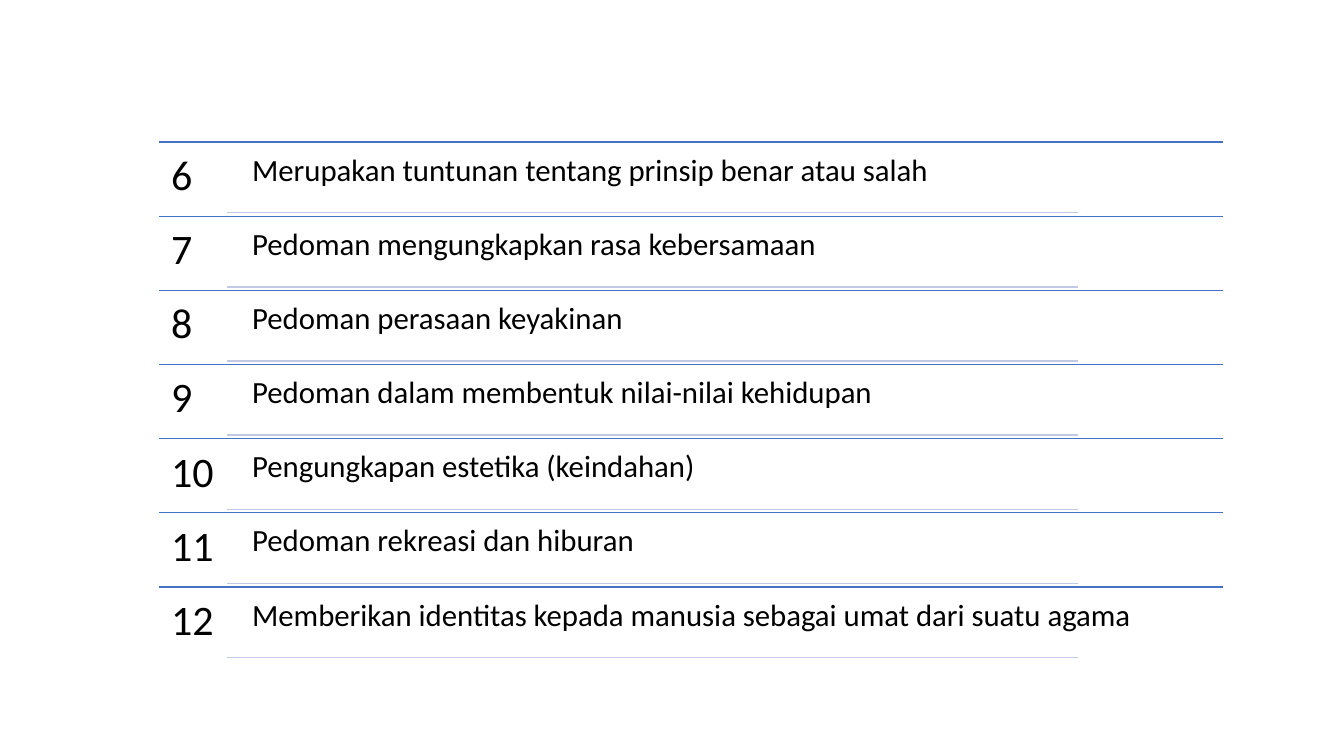
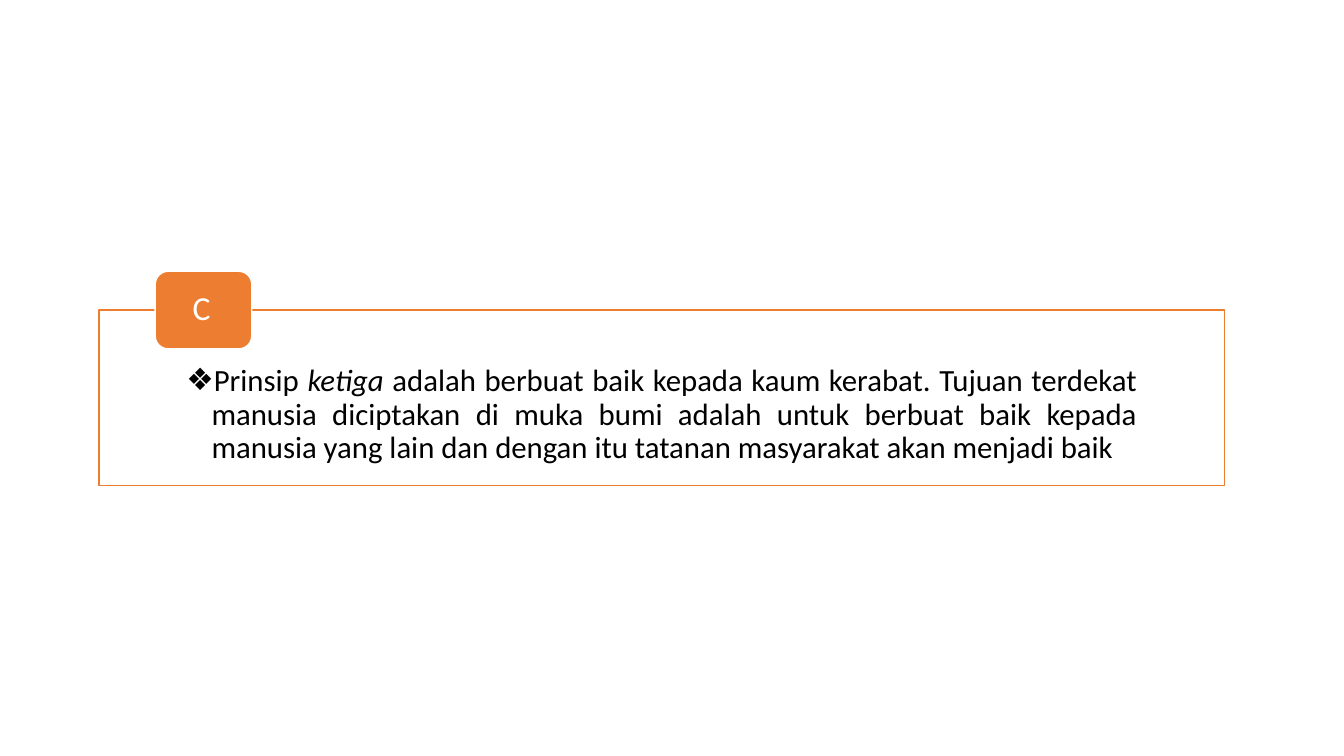
import lxml.etree
import pptx
import pptx.dml.color
import pptx.enum.shapes
import pptx.enum.text
import pptx.oxml.ns
import pptx.util

Pt = pptx.util.Pt
qn = pptx.oxml.ns.qn
SHAPES = pptx.enum.shapes.MSO_SHAPE
ALIGN = pptx.enum.text.PP_ALIGN
ANCHOR = pptx.enum.text.MSO_ANCHOR

FONT = "Calibri"
BLACK, WHITE = "000000", "FFFFFF"
BLUE, PALE_BLUE, ORANGE = "4472C4", "C1C9E4", "ED7D31"
LAYOUT_CONTENT, LAYOUT_BLANK = 1, 6

FUNCTIONS = [
    "Merupakan tuntunan tentang prinsip benar atau salah",
    "Pedoman mengungkapkan rasa kebersamaan",
    "Pedoman perasaan keyakinan",
    "Pedoman dalam membentuk nilai-nilai kehidupan",
    "Pengungkapan estetika (keindahan)",
    "Pedoman rekreasi dan hiburan",
    "Memberikan identitas kepada manusia sebagai umat dari suatu agama",
]
PRINCIPLE = [
    ("Prinsip ", False),
    ("ketiga ", True),
    ("adalah berbuat baik kepada kaum kerabat. Tujuan terdekat manusia "
     "diciptakan di muka bumi adalah untuk berbuat baik kepada manusia yang "
     "lain dan dengan itu tatanan masyarakat akan menjadi baik", False),
]


def rgb(code):
    return pptx.dml.color.RGBColor.from_string(code)


def paint(shape, fill, line):
    shape.fill.solid()
    shape.fill.fore_color.rgb = rgb(fill)
    shape.line.color.rgb = rgb(line)
    shape.line.width = Pt(1)


def write(shape, runs, size, color, insets, anchor=ANCHOR.TOP, align=ALIGN.LEFT):
    """Fill a shape with one paragraph of (text, italic) runs and return it."""
    left, top, right, bottom = map(Pt, insets)
    frame = shape.text_frame
    frame_format = {
        "word_wrap": True, "auto_size": pptx.enum.text.MSO_AUTO_SIZE.NONE,
        "vertical_anchor": anchor, "margin_left": left, "margin_top": top,
        "margin_right": right, "margin_bottom": bottom,
    }
    for name, value in frame_format.items():
        setattr(frame, name, value)
    paragraph = frame.paragraphs[0]
    paragraph_format = {"alignment": align, "line_spacing": 0.9, "space_before": Pt(0)}
    for name, value in paragraph_format.items():
        setattr(paragraph, name, value)
    for text, italic in runs:
        run = paragraph.add_run()
        run.text = text
        for name, value in {"name": FONT, "size": Pt(size), "italic": italic}.items():
            setattr(run.font, name, value)
        run.font.color.rgb = rgb(color)
    return paragraph


def add_label(slide, box, text, size, inset):
    label = slide.shapes.add_textbox(*map(Pt, box))
    write(label, [(text, False)], size, BLACK, [inset] * 4)


def add_rule(slide, left, top, width, color):
    rule = slide.shapes.add_connector(
        pptx.enum.shapes.MSO_CONNECTOR.STRAIGHT,
        Pt(left), Pt(top), Pt(left + width), Pt(top))
    rule.line.color.rgb = rgb(color)
    rule.line.width = Pt(1)
    properties = rule.element.find(qn("p:spPr"))
    lxml.etree.SubElement(properties, qn("a:effectLst"))


def add_numbered_rows(slide, box, texts, first):
    left, top, width, height = box
    pitch = height / len(texts)
    number_width = 48.6
    text_left = left + number_width + 11.3
    for index, text in enumerate(texts):
        row_top = top + index * pitch
        add_rule(slide, left, row_top, width, BLUE)
        add_label(slide, (left, row_top, number_width, pitch), str(first + index), 30, 8.64)
        add_label(slide, (text_left, row_top + 2.4, 690.5, 48.1), text, 22, 6.6)
        add_rule(slide, left + number_width, row_top + 50.5, 0.8 * width, PALE_BLUE)


def set_bullet(paragraph, char, indent):
    properties = paragraph._p.get_or_add_pPr()
    properties.set("marL", str(Pt(indent)))
    properties.set("indent", str(-Pt(indent)))
    lxml.etree.SubElement(properties, qn("a:buChar"), char=char)


def add_principle(slide, box, letter, runs):
    """Outlined panel with a lettered badge straddling its top edge."""
    left, top, width, height = box
    panel = slide.placeholders[1]
    places = zip(("left", "top", "width", "height"), box)
    for name, value in places:
        setattr(panel, name, Pt(value))
    paint(panel, WHITE, ORANGE)
    paragraph = write(panel, runs, 22, BLACK, (62.4, 39.4, 62.4, 12.3), align=ALIGN.JUSTIFY)
    set_bullet(paragraph, "❖", 18)

    badge_width, badge_height = 69, 55.4
    badge = slide.shapes.add_shape(
        SHAPES.ROUNDED_RECTANGLE, Pt(left + 0.05 * width), Pt(top - badge_height / 2),
        Pt(badge_width), Pt(badge_height))
    badge.shadow.inherit = False
    paint(badge, ORANGE, WHITE)
    write(badge, [(letter, False)], 24, WHITE, (24, 0, 24, 0), anchor=ANCHOR.MIDDLE)


def functions_slide(deck):
    slide = deck.slides.add_slide(deck.slide_layouts[LAYOUT_BLANK])
    add_numbered_rows(slide, (113.6, 101.5, 760, 370.7), FUNCTIONS, first=6)


def principle_slide(deck):
    slide = deck.slides.add_slide(deck.slide_layouts[LAYOUT_CONTENT])
    title = slide.shapes.title.element
    title.getparent().remove(title)
    add_principle(slide, (70.7, 221.5, 804, 125.3), "C", PRINCIPLE)


def main():
    deck = pptx.Presentation()
    deck.slide_width, deck.slide_height = Pt(960), Pt(540)
    functions_slide(deck)
    principle_slide(deck)
    deck.save("out.pptx")


if __name__ == "__main__":
    main()
